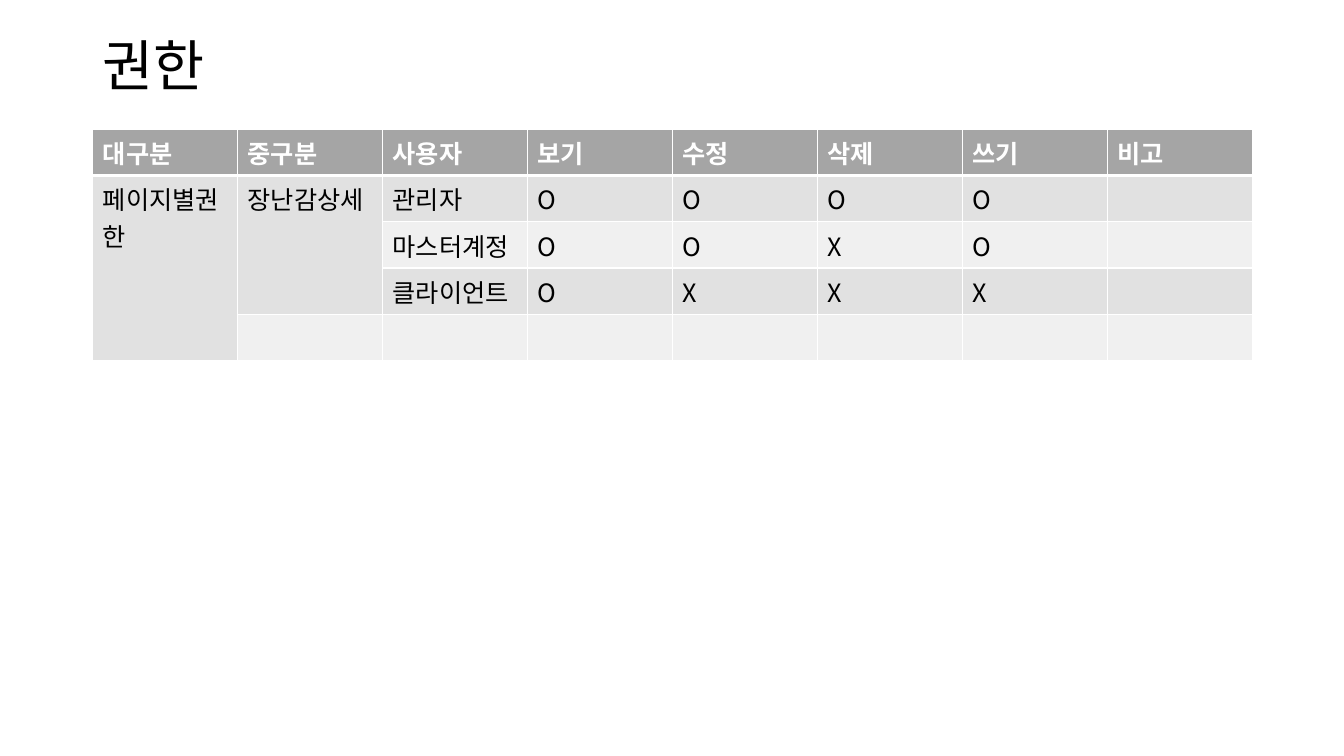
from lxml import etree
from pptx import Presentation
from pptx.dml.color import RGBColor
from pptx.enum.text import MSO_ANCHOR
from pptx.oxml.ns import qn
from pptx.util import Inches, Pt

MIDDLE = MSO_ANCHOR.MIDDLE
FONT = "Noto Sans CJK KR"
COLORS = {
    "text": "000000",
    "header_text": "FFFFFF",
    "header": "A5A5A5",
    "odd_row": "E1E1E1",
    "even_row": "F0F0F0",
    "border": "FFFFFF",
}
PERMISSIONS = [
    ["대구분", "중구분", "사용자", "보기", "수정", "삭제", "쓰기", "비고"],
    ["페이지별권한", "장난감상세", "관리자", "O", "O", "O", "O", ""],
    ["", "", "마스터계정", "O", "O", "X", "O", ""],
    ["", "", "클라이언트", "O", "X", "X", "X", ""],
    [""] * 8,
]
# First and last cell of each merged block, as (row, column)
MERGES = [((1, 0), (4, 0)), ((1, 1), (3, 1))]


class SlideBuilder:
    def __init__(self, slide):
        self.slide = slide

    def style(self, paragraph, size, color, bold=False):
        for run in paragraph.runs:
            run.font.name = FONT
            run.font.size = Pt(size)
            run.font.bold = bold
            run.font.color.rgb = RGBColor.from_string(COLORS[color])
            east_asian = etree.SubElement(run.font._element, qn("a:ea"))
            east_asian.set("typeface", FONT)

    def title(self, text, left, top, width, height):
        box = self.slide.shapes.add_textbox(
            Inches(left), Inches(top), Inches(width), Inches(height))
        frame = box.text_frame
        frame.word_wrap = True
        frame.vertical_anchor = MIDDLE
        frame.text = text
        frame.paragraphs[0].line_spacing = 0.9
        self.style(frame.paragraphs[0], 39.6, "text")

    def borders(self, cell, bottom_width):
        properties = cell._tc.get_or_add_tcPr()
        widths = {"lnL": 1, "lnR": 1, "lnT": 1, "lnB": bottom_width}
        for position, (side, width) in enumerate(widths.items()):
            line = etree.Element(qn(f"a:{side}"), w=str(Pt(width)))
            fill = etree.SubElement(line, qn("a:solidFill"))
            etree.SubElement(fill, qn("a:srgbClr"), val=COLORS["border"])
            properties.insert(position, line)

    def table(self, rows, merges, left, top, width, row_height):
        table = self.slide.shapes.add_table(
            len(rows), len(rows[0]), Inches(left), Inches(top),
            Inches(width), Inches(row_height * len(rows))).table
        for row_index, row in enumerate(rows):
            is_header = row_index == 0
            band = "odd_row" if row_index % 2 else "even_row"
            fill = "header" if is_header else band
            for column_index, text in enumerate(row):
                cell = table.cell(row_index, column_index)
                cell.text_frame.text = text
                self.style(cell.text_frame.paragraphs[0], 18,
                           "header_text" if is_header else "text", is_header)
                cell.fill.solid()
                cell.fill.fore_color.rgb = RGBColor.from_string(COLORS[fill])
                self.borders(cell, 3 if is_header else 1)
        # The header's thick rule is shared with the row below it
        for cell in table.rows[1].cells:
            cell._tc.tcPr.find(qn("a:lnT")).set("w", str(Pt(3)))
        for first, last in merges:
            table.cell(*first).merge(table.cell(*last))


def main():
    presentation = Presentation()
    presentation.slide_width = Inches(13.33)
    presentation.slide_height = Inches(7.5)
    builder = SlideBuilder(
        presentation.slides.add_slide(presentation.slide_layouts[6]))

    # Heading
    builder.title("권한", 0.92, 0.4, 11.5, 0.57)

    # Permission table
    builder.table(PERMISSIONS, MERGES, 0.92, 1.28, 11.5, 0.46)

    presentation.save("out.pptx")


if __name__ == "__main__":
    main()
